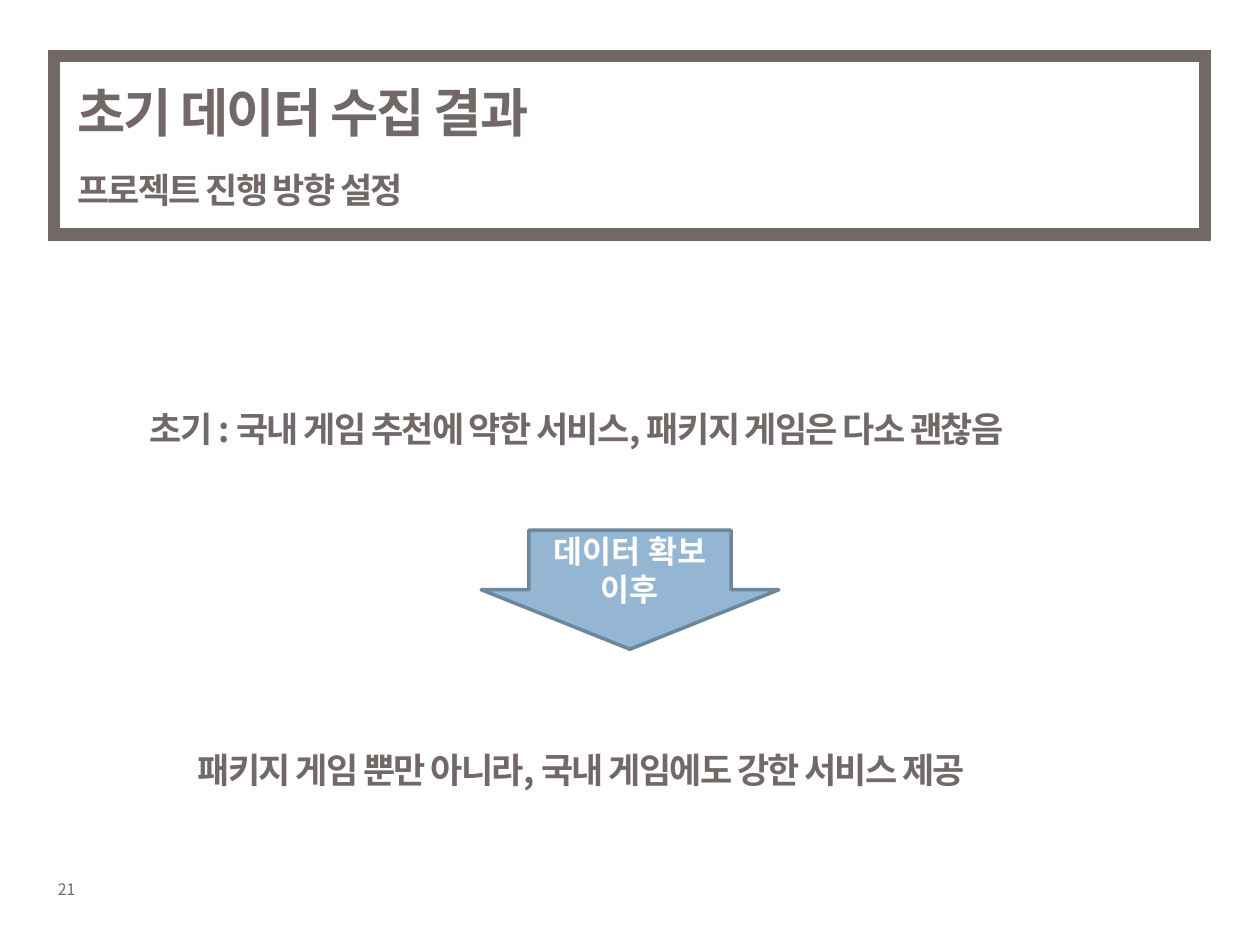
"""Build the slide on the direction set after the first data collection."""
from lxml import etree
from pptx import Presentation
from pptx.dml.color import RGBColor
from pptx.enum.shapes import MSO_SHAPE as SHAPE
from pptx.enum.text import MSO_ANCHOR as ANCHOR, PP_ALIGN as ALIGN
from pptx.oxml.ns import qn
from pptx.util import Pt

FONT = "Noto Sans CJK KR"
TAUPE = RGBColor(0x72, 0x68, 0x68)
BLUE = RGBColor(0x94, 0xB6, 0xD2)
DARK_BLUE = RGBColor(0x6D, 0x87, 0x9B)
WHITE = RGBColor(0xFF, 0xFF, 0xFF)


def style(p, size, color=TAUPE, bold=True, spacing=-100):
    for r in p.runs:
        r.font.size = Pt(size)
        r.font.bold = bold
        r.font.color.rgb = color
        r.font.name = FONT
        rPr = r._r.get_or_add_rPr()
        rPr.set("spc", str(spacing))
        etree.SubElement(rPr, qn("a:ea")).set("typeface", FONT)


def add_text(s, left, top, width, height, text):
    tf = s.shapes.add_textbox(Pt(left), Pt(top), Pt(width), Pt(height)).text_frame
    tf.word_wrap = True
    tf.text = text
    return tf


prs = Presentation()
prs.slide_width, prs.slide_height = Pt(720), Pt(540)
s = prs.slides.add_slide(prs.slide_layouts[6])

tf = add_text(s, 26, 499, 37.5, 18, "21")
style(tf.paragraphs[0], 9, bold=False, spacing=0)

tf = add_text(s, 37, 32, 516, 102, "초기 데이터 수집 결과\n프로젝트 진행 방향 설정")
tf.vertical_anchor = ANCHOR.MIDDLE
title, subtitle = tf.paragraphs
style(title, 30)
style(subtitle, 20)
subtitle.space_before = Pt(14.5)

frame = s.shapes.add_shape(SHAPE.RECTANGLE, Pt(31), Pt(32), Pt(657.5), Pt(102))
frame.shadow.inherit = False
frame.fill.background()
frame.line.color.rgb = TAUPE
frame.line.width = Pt(7)
etree.SubElement(frame.line._get_or_add_ln(), qn("a:miter")).set("lim", "800000")

for left, top, width, text in (
    (78.5, 217.5, 563, "초기 : 국내 게임 추천에 약한 서비스, 패키지 게임은 다소 괜찮음"),
    (106, 412, 508, "패키지 게임 뿐만 아니라, 국내 게임에도 강한 서비스 제공"),
):
    p = add_text(s, left, top, width, 44, text).paragraphs[0]
    p.line_spacing = 1.5
    style(p, 20)

arrow = s.shapes.add_shape(SHAPE.DOWN_ARROW, Pt(275), Pt(303), Pt(170), Pt(68))
arrow.adjustments[0] = 0.68
arrow.adjustments[1] = 0.5
arrow.shadow.inherit = False
arrow.fill.solid()
arrow.fill.fore_color.rgb = BLUE
arrow.line.color.rgb = DARK_BLUE
arrow.line.width = Pt(2)
tf = arrow.text_frame
tf.word_wrap = True
tf.vertical_anchor = ANCHOR.MIDDLE
tf.text = "데이터 확보 이후"
p = tf.paragraphs[0]
p.alignment = ALIGN.CENTER
style(p, 18, WHITE, spacing=0)

prs.save("out.pptx")
